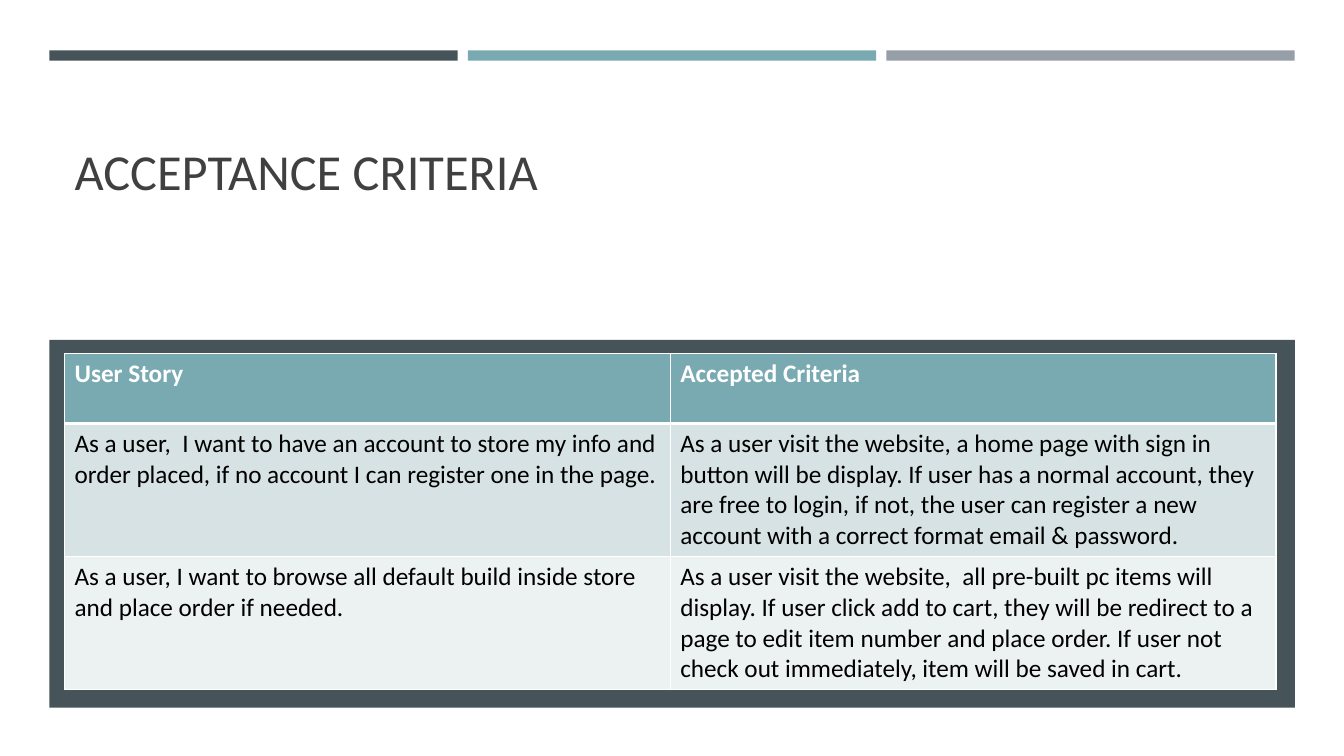
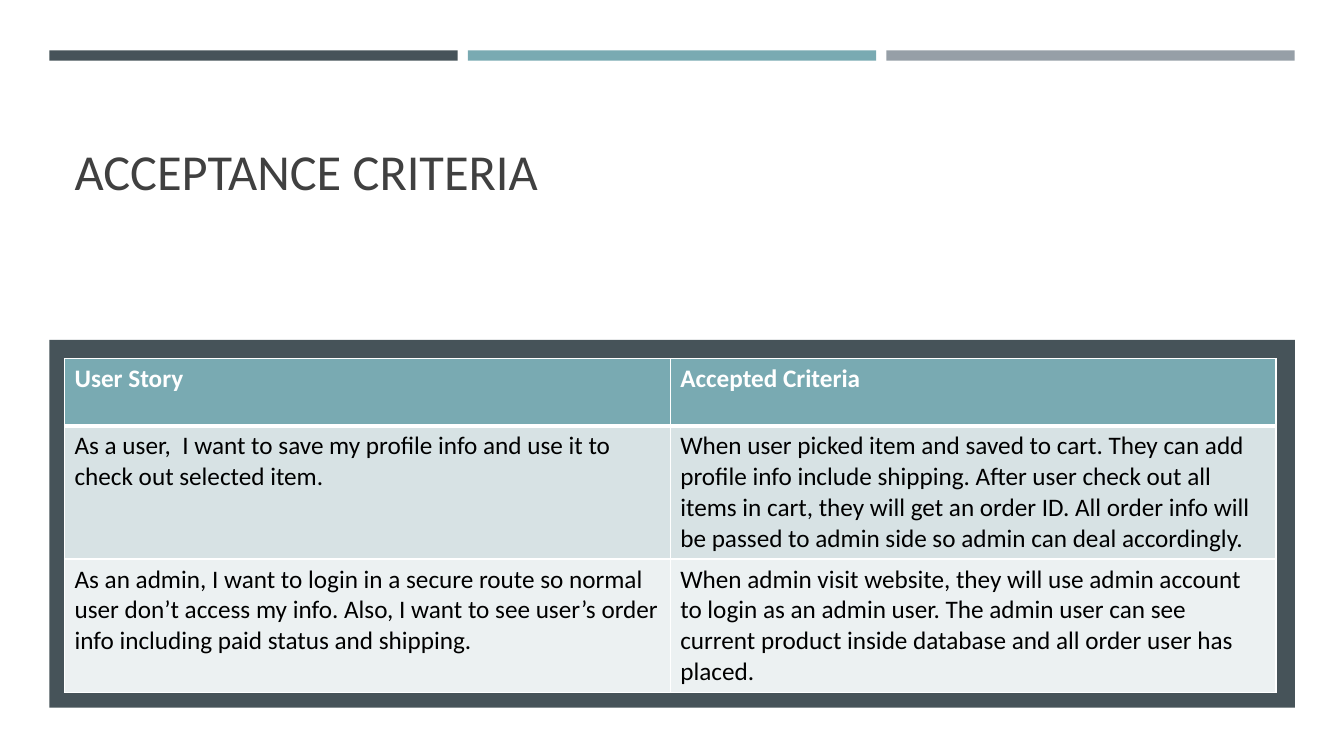
from dataclasses import dataclass

from lxml import etree
from pptx import Presentation
from pptx.dml.color import RGBColor
from pptx.enum import shapes, text
from pptx.oxml import ns
from pptx.util import Pt


# Theme
@dataclass(frozen=True)
class Theme:
    font: str = "Calibri"
    title_size: float = 36
    table_size: float = 18
    dark: str = "465359"
    teal: str = "79AAB2"
    grey: str = "969FA7"
    title: str = "404040"
    body: str = "000000"
    white: str = "FFFFFF"
    row_fills: tuple[str, str] = ("D7E2E4", "ECF1F2")
    border: float = 1
    header_border: float = 3


@dataclass(frozen=True)
class Box:
    left: float
    top: float
    width: float
    height: float

    def points(self) -> tuple[Pt, Pt, Pt, Pt]:
        return Pt(self.left), Pt(self.top), Pt(self.width), Pt(self.height)


@dataclass(frozen=True)
class Criterion:
    story: str
    accepted: str


@dataclass(frozen=True)
class CriteriaSlide:
    table_top: float
    header_height: float
    row_height: float
    criteria: tuple[Criterion, ...]


THEME = Theme()
TITLE = "ACCEPTANCE CRITERIA"
HEADER = Criterion("User Story", "Accepted Criteria")

# Layout
BAND = Box(35.3, 36, 291.6, 7.4)
BAND_PITCH = 298.9
PANEL = Box(35.3, 242.7, 889.6, 262.8)
TITLE_BOX = Box(46.1, 80.6, 865.4, 66.3)

# Content
SLIDES = (
    CriteriaSlide(252.7, 49.7, 95, (
        Criterion(
            "As a user,  I want to have an account to store my info and order placed, "
            "if no account I can register one in the page.",
            "As a user visit the website, a home page with sign in button will be display. "
            "If user has a normal account, they are free to login, if not, the user can "
            "register a new account with a correct format email & password."),
        Criterion(
            "As a user, I want to browse all default build inside store and place order "
            "if needed.",
            "As a user visit the website,  all pre-built pc items will display. If user "
            "click add to cart, they will be redirect to a page to edit item number and "
            "place order. If user not check out immediately, item will be saved in cart."),
    )),
    CriteriaSlide(256.3, 47.9, 93.6, (
        Criterion(
            "As a user,  I want to save my profile info and use it to check out selected "
            "item.",
            "When user picked item and saved to cart. They can add profile info include "
            "shipping. After user check out all items in cart, they will get an order ID. "
            "All order info will be passed to admin side so admin can deal accordingly."),
        Criterion(
            "As an admin, I want to login in a secure route so normal user don’t access "
            "my info. Also, I want to see user’s order info including paid status and "
            "shipping.",
            "When admin visit website, they will use admin account to login as an admin "
            "user. The admin user can see current product inside database and all order "
            "user has placed."),
    )),
)


def format_text(tf, size: float, color: str, bold: bool = False) -> None:
    for p in tf.paragraphs:
        for r in p.runs:
            r.font.name = THEME.font
            r.font.size = Pt(size)
            r.font.bold = bold
            r.font.color.rgb = RGBColor.from_string(color)


def add_rect(s, box: Box, color: str) -> None:
    sp = s.shapes.add_shape(shapes.MSO_SHAPE.RECTANGLE, *box.points())
    sp.shadow.inherit = False
    sp.fill.solid()
    sp.fill.fore_color.rgb = RGBColor.from_string(color)
    sp.line.fill.background()


# Shared bands, panel and title
def add_frame(s) -> None:
    for i, color in enumerate((THEME.dark, THEME.teal, THEME.grey)):
        band = Box(BAND.left + i * BAND_PITCH, BAND.top, BAND.width, BAND.height)
        add_rect(s, band, color)
    add_rect(s, PANEL, THEME.dark)


def set_title(s) -> None:
    sp = s.shapes.title
    sp.left, sp.top, sp.width, sp.height = TITLE_BOX.points()
    tf = sp.text_frame
    tf.text = TITLE
    tf.auto_size = text.MSO_AUTO_SIZE.NONE
    tf.vertical_anchor = text.MSO_ANCHOR.BOTTOM
    tf.paragraphs[0].alignment = text.PP_ALIGN.LEFT
    format_text(tf, THEME.title_size, THEME.title)


# Table
def set_borders(cell, top: float, bottom: float) -> None:
    tc_pr = cell._tc.get_or_add_tcPr()
    widths = {"L": THEME.border, "R": THEME.border, "T": top, "B": bottom}
    for side, width in widths.items():
        ln = etree.SubElement(tc_pr, ns.qn(f"a:ln{side}"), w=str(Pt(width)))
        fill = etree.SubElement(ln, ns.qn("a:solidFill"))
        etree.SubElement(fill, ns.qn("a:srgbClr"), val=THEME.white)


def fill_row(table, row: int, criterion: Criterion) -> None:
    is_header = row == 0
    fill = THEME.teal if is_header else THEME.row_fills[(row - 1) % 2]
    top = THEME.header_border if row == 1 else THEME.border
    bottom = THEME.header_border if is_header else THEME.border
    for col, words in enumerate((criterion.story, criterion.accepted)):
        cell = table.cell(row, col)
        cell.text_frame.text = words
        format_text(cell.text_frame, THEME.table_size,
                    THEME.white if is_header else THEME.body, is_header)
        set_borders(cell, top, bottom)
        cell.fill.solid()
        cell.fill.fore_color.rgb = RGBColor.from_string(fill)


def add_criteria_table(s, content: CriteriaSlide) -> None:
    rows = (HEADER, *content.criteria)
    heights = [content.header_height] + [content.row_height] * len(content.criteria)
    box = Box(TITLE_BOX.left, content.table_top, TITLE_BOX.width, sum(heights))
    table = s.shapes.add_table(len(rows), 2, *box.points()).table
    for i, (criterion, height) in enumerate(zip(rows, heights)):
        table.rows[i].height = Pt(height)
        fill_row(table, i, criterion)


def main() -> None:
    prs = Presentation()
    prs.slide_width, prs.slide_height = Pt(960), Pt(540)
    title_only = prs.slide_layouts[5]
    for content in SLIDES:
        s = prs.slides.add_slide(title_only)
        add_frame(s)
        set_title(s)
        add_criteria_table(s, content)
    prs.save("out.pptx")


if __name__ == "__main__":
    main()
